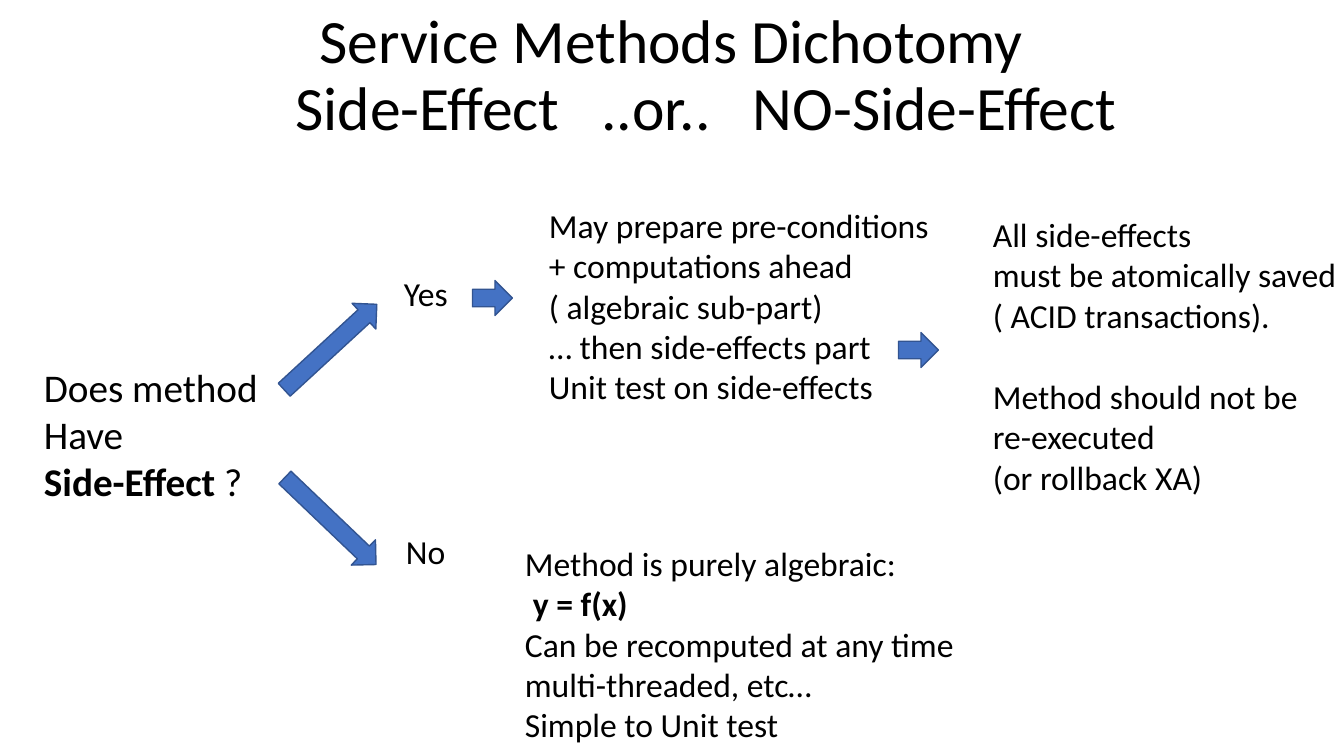
from dataclasses import dataclass
from pptx import Presentation
from pptx.dml.color import RGBColor
from pptx.enum.shapes import MSO_SHAPE
from pptx.enum.text import MSO_ANCHOR, MSO_AUTO_SIZE, PP_ALIGN
from pptx.util import Pt

DOWN_ARROW = MSO_SHAPE.DOWN_ARROW
MIDDLE = MSO_ANCHOR.MIDDLE
CENTER = PP_ALIGN.CENTER
NO_FIT, GROW = MSO_AUTO_SIZE.NONE, MSO_AUTO_SIZE.SHAPE_TO_FIT_TEXT
EMU_PER_INCH, PX_PER_INCH = 914400, 100.8


@dataclass(frozen=True)
class Theme:
    font: str = "Calibri"
    ink: RGBColor = RGBColor(0x00, 0x00, 0x00)
    arrow: RGBColor = RGBColor(0x44, 0x72, 0xC4)
    arrow_edge: RGBColor = RGBColor(0x32, 0x54, 0x91)
    title: int = 44
    question: int = 28
    body: int = 24
    line_height: float = 1.22


@dataclass(frozen=True)
class Line:
    text: str
    bold: bool = False
    tail: str = ""
    indent: int = 0
    gap_lines: int = 0


THEME = Theme()
SLIDE_SIZE = (1344, 756)

TITLE_AT = (60, 4, 1223, 146)
TITLE = [
    Line("Service Methods Dichotomy"),
    Line("Side-Effect   ..or..   NO-Side-Effect", indent=70),
]

TEXTS = [
    ((34, 358, 239, 152), THEME.question, [
        Line("Does method"),
        Line("Have"),
        Line("Side-Effect", bold=True, tail=" ?"),
    ]),
    ((394, 268, 65, 50), THEME.body, [Line("Yes")]),
    ((396, 526, 60, 50), THEME.body, [Line("No")]),
    ((539, 200, 404, 214), THEME.body, [
        Line("May prepare pre-conditions"),
        Line("+ computations ahead"),
        Line("( algebraic sub-part)"),
        Line("… then side-effects part"),
        Line("Unit test on side-effects"),
    ]),
    ((983, 209, 374, 295), THEME.body, [
        Line("All side-effects"),
        Line("must be atomically saved"),
        Line("( ACID transactions)."),
        Line("Method should not be", gap_lines=1),
        Line("re-executed"),
        Line("(or rollback XA)"),
    ]),
    ((515, 538, 454, 214), THEME.body, [
        Line("Method is purely algebraic:"),
        Line("y = f(x)", bold=True, indent=8),
        Line("Can be recomputed at any time"),
        Line("multi-threaded, etc…"),
        Line("Simple to Unit test"),
    ]),
]

BRANCH, STEP = (35, 126), (35, 40)
ARROWS = [
    ((313, 284), BRANCH, 227.3),
    ((313, 458), BRANCH, 313.7),
    ((475, 278), STEP, 270),
    ((901, 330), STEP, 270),
]


def emu(px):
    return round(px * EMU_PER_INCH / PX_PER_INCH)


def write_lines(frame, lines, size):
    for index, line in enumerate(lines):
        para = frame.paragraphs[0] if index == 0 else frame.add_paragraph()
        if line.indent:
            properties = para._p.get_or_add_pPr()
            properties.set("marL", str(emu(line.indent)))
            properties.set("indent", "0")
        if line.gap_lines:
            para.space_before = Pt(round(line.gap_lines * size * THEME.line_height, 1))
        para.font.name = THEME.font
        para.font.size = Pt(size)
        para.font.color.rgb = THEME.ink
        span = para.add_run()
        span.text = line.text
        if line.bold:
            span.font.bold = True
        if line.tail:
            para.add_run().text = line.tail


def place_title(slide):
    title = slide.shapes.title
    title.left, title.top, title.width, title.height = map(emu, TITLE_AT)
    frame = title.text_frame
    frame.auto_size = NO_FIT
    frame.vertical_anchor = MIDDLE
    write_lines(frame, TITLE, THEME.title)
    for para in frame.paragraphs:
        para.alignment = CENTER
        para.line_spacing = 0.9


def add_text(slide, at, size, lines):
    frame = slide.shapes.add_textbox(*map(emu, at)).text_frame
    frame.word_wrap = False
    frame.auto_size = GROW
    write_lines(frame, lines, size)


def add_arrow(slide, corner, size, rotation):
    arrow = slide.shapes.add_shape(DOWN_ARROW, *map(emu, corner + size))
    arrow.rotation = rotation
    arrow.shadow.inherit = False
    arrow.fill.solid()
    arrow.fill.fore_color.rgb = THEME.arrow
    arrow.line.color.rgb = THEME.arrow_edge
    arrow.line.width = Pt(1)


def main():
    deck = Presentation()
    deck.slide_width, deck.slide_height = map(emu, SLIDE_SIZE)
    slide = deck.slides.add_slide(deck.slide_layouts.get_by_name("Title Only"))
    place_title(slide)
    for arrow in ARROWS:
        add_arrow(slide, *arrow)
    for text in TEXTS:
        add_text(slide, *text)
    deck.save("out.pptx")


if __name__ == "__main__":
    main()
